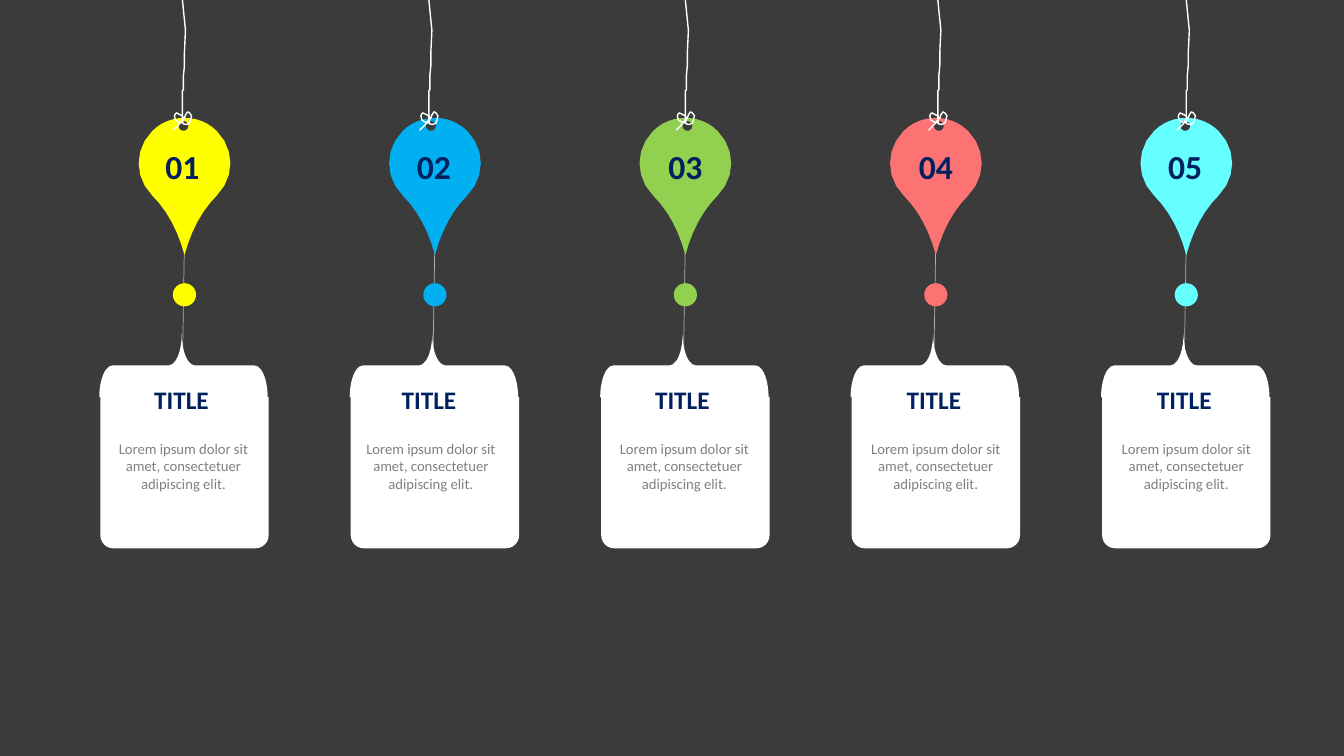
import math
from lxml import etree
from pptx import Presentation, util as u
from pptx.dml.color import RGBColor
from pptx.enum import shapes, text
from pptx.oxml.ns import qn

# Content: number, colour, then centre of hole, string, number and title in inches from the pin axis
CARDS = [
    ("01", "FFFF00", -0.01, -0.02, -0.02, -0.03),
    ("02", "00B0F0", -0.04, -0.06, -0.01, -0.06),
    ("03", "92D050", 0.02, 0, 0, -0.03),
    ("04", "FD7273", 0.03, 0.02, 0, -0.02),
    ("05", "66FFFF", -0.01, 0, -0.01, -0.02),
]
TITLE = "TITLE"
BODY = "Lorem ipsum dolor sit amet, consectetuer adipiscing elit."
BACKGROUND, WHITE, NAVY, GREY = "3B3B3B", "FFFFFF", "002060", "808080"

# Grid: five columns, all shapes placed from the pin axis of their column
FIRST_AXIS, PITCH = 1.83, 2.484
CARD_WIDTH, CARD_HEIGHT, CARD_TOP = 1.67, 1.5, 3.94
BRACE_WIDTH, BRACE_CENTRE = 0.63, 3.625
DOT, DOT_TOP = 0.23, 2.81
HOLE_RADIUS, HOLE_CENTRE, HOLE_SIDES = 0.05, 1.25, 10

# Right half of the pin as chained Bezier points, in inches from the axis
PIN_HALF = [(0, 1.17), (.115, 1.17), (.23, 1.21), (.32, 1.3), (.5, 1.48), (.5, 1.76),
            (.32, 1.94), (.17, 2.09), (.065, 2.29), (0, 2.53)]
PIN = PIN_HALF + [(-x, y) for x, y in PIN_HALF[-2::-1]]
# String and bow as plain points, in inches from the end of the string
STRING = [(0, 1.22), (0, .9), (.01, .89), (.01, .75), (.02, .65), (.02, .52), (.03, .3),
          (.01, .1), (0, 0)]
KNOT = [(0, 1.22), (-.04, 1.21), (-.07, 1.19), (-.08, 1.15), (-.07, 1.13), (-.06, 1.12),
        (-.02, 1.14), (0, 1.15), (.01, 1.18), (0, 1.22), (.01, 1.23), (.04, 1.235),
        (.07, 1.22), (.08, 1.19), (.09, 1.15), (.07, 1.12), (.05, 1.11), (.03, 1.14),
        (.02, 1.17), (-.01, 1.2), (-.03, 1.23), (-.06, 1.26), (-.09, 1.29), (-.07, 1.27)]


def colour(value):
    return RGBColor.from_string(value)


def trace(points, steps=6):
    """Points along a chain of cubic Bezier curves."""
    line = [points[0]]
    for start in range(0, len(points) - 1, 3):
        a, b, c, d = points[start:start + 4]
        for step in range(1, steps + 1):
            t = step / steps
            s = 1 - t
            line.append(tuple(s**3 * a[k] + 3 * s * s * t * b[k] + 3 * s * t * t * c[k] + t**3 * d[k]
                              for k in (0, 1)))
    return line


def ring(centre):
    """Points around the hole, against the direction of the pin."""
    angles = [-2 * math.pi * side / HOLE_SIDES for side in range(HOLE_SIDES)]
    return [(centre + HOLE_RADIUS * math.cos(angle), HOLE_CENTRE + HOLE_RADIUS * math.sin(angle))
            for angle in angles]


def paint(shape, fill=None, line=None):
    shape.shadow.inherit = False
    if fill:
        shape.fill.solid()
        shape.fill.fore_color.rgb = colour(fill)
    else:
        shape.fill.background()
    if line:
        shape.line.color.rgb = colour(line)
        shape.line.width = u.Pt(1)
    else:
        shape.line.fill.background()


def add_outline(group, contours, x, closed, **style):
    builder = None
    for contour in contours:
        points = [(u.Inches(x + dx), u.Inches(y)) for dx, y in contour]
        if builder is None:
            builder = group.shapes.build_freeform(*points[0], scale=1.0)
        else:
            builder.move_to(*points[0])
        builder.add_line_segments(points[1:], close=closed)
    paint(builder.convert_to_shape(), **style)


def add_preset(group, kind, centre, top, width, height, fill, adjust=(), rotation=0):
    shape = group.shapes.add_shape(kind, u.Inches(centre - width / 2), u.Inches(top),
                                   u.Inches(width), u.Inches(height))
    for index, value in enumerate(adjust):
        shape.adjustments[index] = value
    shape.rotation = rotation
    paint(shape, fill)


def add_thread(group, axis):
    thread = group.shapes.add_connector(shapes.MSO_CONNECTOR.STRAIGHT, u.Inches(axis - 0.02),
                                        u.Inches(3.62), u.Inches(axis), u.Inches(2.34))
    thread.line.color.rgb = colour(WHITE)
    thread.line.width = u.Pt(0.5)
    tint = thread.line._ln.find(".//" + qn("a:srgbClr"))
    etree.SubElement(tint, qn("a:alpha"), val="60000")
    etree.SubElement(thread._element.spPr, qn("a:effectLst"))


def add_label(group, words, centre, top, width, height, size, ink, bold=False):
    box = group.shapes.add_textbox(u.Inches(centre - width / 2), u.Inches(top),
                                   u.Inches(width), u.Inches(height))
    frame = box.text_frame
    frame.word_wrap = True
    frame.auto_size = text.MSO_AUTO_SIZE.SHAPE_TO_FIT_TEXT
    para = frame.paragraphs[0]
    para.alignment = text.PP_ALIGN.CENTER
    span = para.add_run()
    span.text = words
    for name, value in {"name": "Calibri", "size": u.Pt(size), "bold": bold}.items():
        setattr(span.font, name, value)
    span.font.color.rgb = colour(ink)


def add_card(page, axis, number, tint, hole, string, number_shift, title_shift):
    group = page.shapes.add_group_shape()
    kinds = shapes.MSO_SHAPE
    add_thread(group, axis)
    # Pin with its hole
    add_outline(group, [ring(hole), trace(PIN)], axis, True, fill=tint)
    # White card with a pointed top, and the dot above it
    add_preset(group, kinds.RIGHT_BRACE, axis - 0.01, BRACE_CENTRE - CARD_WIDTH / 2, BRACE_WIDTH,
               CARD_WIDTH, WHITE, (0.208, 0.49), 270)
    add_preset(group, kinds.ROUND_2_SAME_RECTANGLE, axis, CARD_TOP, CARD_WIDTH, CARD_HEIGHT,
               WHITE, (0, 0.087))
    add_preset(group, kinds.OVAL, axis, DOT_TOP, DOT, DOT, tint)
    # Words
    add_label(group, number, axis + number_shift, 1.4, 0.83, 0.5, 24, NAVY, True)
    add_label(group, TITLE, axis + title_shift, 3.76, 1.28, 0.4, 18, NAVY, True)
    add_label(group, BODY, axis + title_shift + 0.02, 4.31, 1.54, 0.63, 10.5, GREY)
    # String and bow
    for line in (STRING, KNOT):
        add_outline(group, [line], axis + string, False, line=WHITE)


def main():
    deck = Presentation()
    deck.slide_width, deck.slide_height = u.Inches(13.33), u.Inches(7.5)
    page = deck.slides.add_slide(deck.slide_layouts[6])
    page.background.fill.solid()
    page.background.fill.fore_color.rgb = colour(BACKGROUND)
    for column, card in enumerate(CARDS):
        add_card(page, FIRST_AXIS + column * PITCH, *card)
    deck.save("out.pptx")


if __name__ == "__main__":
    main()
